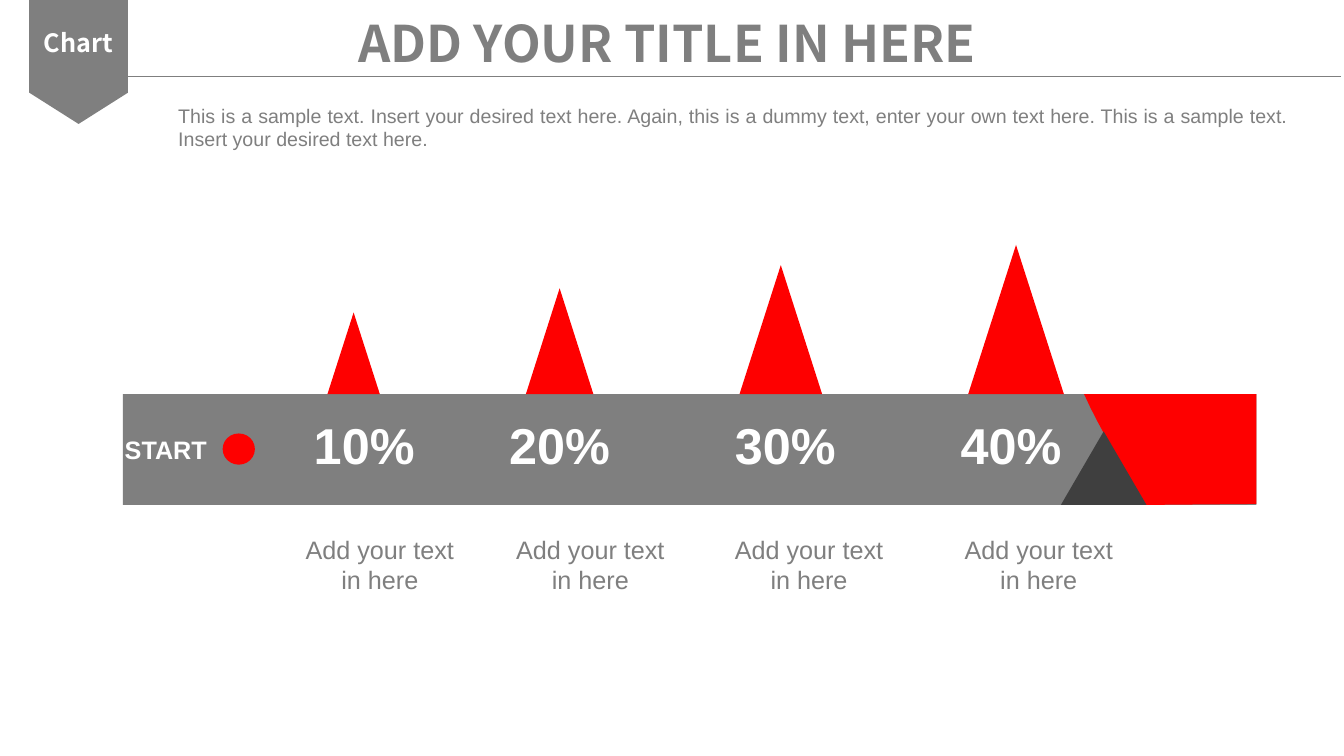
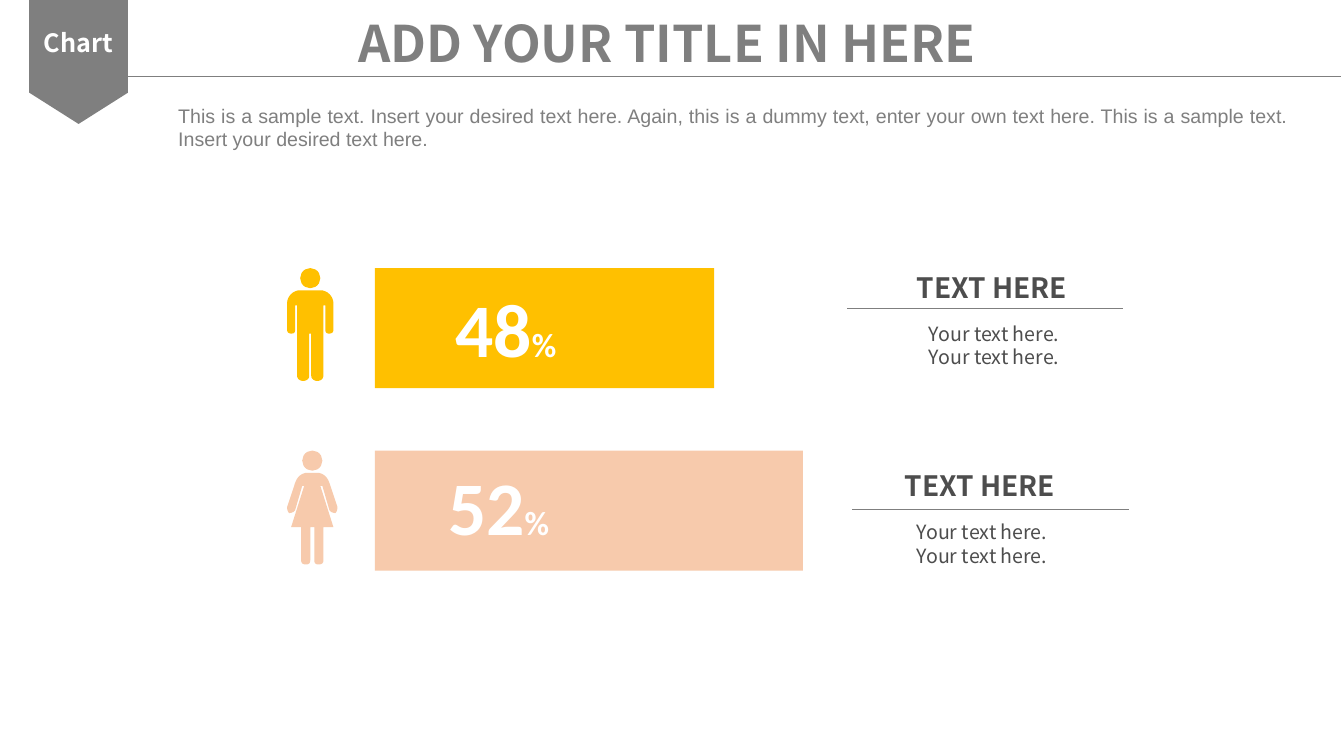
from lxml import etree
from pptx import Presentation
from pptx.dml.color import RGBColor
from pptx.enum.shapes import MSO_CONNECTOR, MSO_SHAPE
from pptx.enum.text import MSO_ANCHOR, PP_ALIGN
from pptx.oxml.ns import qn
from pptx.util import Pt

PX = 9144  # 100 px to the inch
GREY = RGBColor(0x7F, 0x7F, 0x7F)
DARK = RGBColor(0x3F, 0x3F, 0x3F)
INK = RGBColor(0x4D, 0x4D, 0x4D)
RED = RGBColor(0xFE, 0x00, 0x00)
AMBER = RGBColor(0xFF, 0xC0, 0x00)
PEACH = RGBColor(0xF7, 0xCA, 0xAC)
WHITE = RGBColor(0xFF, 0xFF, 0xFF)
NOTO, ARIAL, CALIBRI = "Noto Sans CJK SC", "Arial", "Calibri"
CENTER, JUSTIFY = PP_ALIGN.CENTER, PP_ALIGN.JUSTIFY
MIDDLE = MSO_ANCHOR.MIDDLE

# Shared content
TAG = "Chart"
TITLE = "ADD YOUR TITLE IN HERE"
INTRO = ("This is a sample text. Insert your desired text here. Again, this is "
         "a dummy text, enter your own text here. This is a sample text. "
         "Insert your desired text here.")
PENNANT = [(29, 0), (127, 0), (127, 92), (78, 123), (29, 92)]

# Timeline: value, value left, caption left, peak left, peak width, peak height
BAND_TOP, BAND_H = 391, 110
CAPTION = "Add your text in here"
STEPS = [
    ("10%", 298, 281, 325, 52, 81),
    ("20%", 492, 490, 522, 67, 105),
    ("30%", 716, 707, 734, 82, 128),
    ("40%", 940, 935, 961, 95, 148),
]
FLAG = [(1076, 391), (1247, 391), (1247, 500), (1134, 501),
        (1117, 465, 1092, 427, 1076, 391)]

# Right halves of the figures, from (middle, top of head); six numbers are a curve
MAN = [(0, 22), (10, 22), (17, 22, 23, 28, 23, 35), (23, 61),
       (23, 64, 21, 65, 19, 65), (16, 65, 15, 64, 15, 61), (15, 37), (13, 37),
       (13, 107), (13, 110, 10, 112, 7, 112), (4, 112, 1, 110, 1, 107),
       (1, 65), (0, 65)]
WOMAN = [(0, 22), (5, 22), (7, 22, 14, 23, 17, 32), (25, 56),
         (25, 59, 24, 61, 23, 62), (21, 62, 18, 61, 17, 59), (10, 35), (8, 35),
         (21, 76), (11, 76), (11, 109), (11, 112, 9, 113, 6, 113),
         (4, 113, 2, 112, 2, 109), (2, 76), (0, 76)]
HEADING = "TEXT HERE"
DETAILS = ["Your text here.", "Your text here."]
GROUPS = [
    dict(value="48", color=AMBER, half=MAN, middle=308, top=266, width=337,
         value_at=(442, 275), heading_at=(900, 263), rule=(841, 1115, 306)),
    dict(value="52", color=PEACH, half=WOMAN, middle=310, top=447, width=425,
         value_at=(435, 451), heading_at=(888, 460), rule=(846, 1121, 505)),
]


def paint(sp, color):
    sp.shadow.inherit = False
    sp.fill.solid()
    sp.fill.fore_color.rgb = color
    sp.line.fill.background()


def shape(s, kind, x, y, w, h, color):
    paint(s.shapes.add_shape(kind, x * PX, y * PX, w * PX, h * PX), color)


def flatten(outline, steps=8):
    """Turn points and cubic curves into plain points."""
    points = []
    for part in outline:
        if len(part) == 2:
            points.append(part)
            continue
        nodes = [points[-1], part[:2], part[2:4], part[4:]]
        for i in range(1, steps + 1):
            t = i / steps
            weights = ((1 - t) ** 3, 3 * t * (1 - t) ** 2, 3 * t * t * (1 - t), t ** 3)
            points.append(tuple(sum(k * n[axis] for k, n in zip(weights, nodes))
                                for axis in (0, 1)))
    return points


def freeform(s, points, color):
    (x, y), *rest = [(round(px * PX), round(py * PX)) for px, py in points]
    fb = s.shapes.build_freeform(x, y)
    fb.add_line_segments(rest, close=True)
    paint(fb.convert_to_shape(), color)


def line(s, x1, x2, y):
    c = s.shapes.add_connector(MSO_CONNECTOR.STRAIGHT, x1 * PX, y * PX, x2 * PX, y * PX)
    c.line.color.rgb = GREY
    c.line.width = Pt(0.5)
    etree.SubElement(c._element.spPr, qn("a:effectLst"))


def text(s, lines, x, y, w, h, size, color, font=ARIAL, bold=False,
         align=None, anchor=MSO_ANCHOR.TOP, wrap=True, pad=5):
    tf = s.shapes.add_textbox(x * PX, y * PX, w * PX, h * PX).text_frame
    tf.word_wrap = wrap
    tf.vertical_anchor = anchor
    tf.margin_left = tf.margin_right = 10 * PX
    tf.margin_top = tf.margin_bottom = pad * PX
    tf.text = "\n".join(lines)
    for p in tf.paragraphs:
        p.alignment = align
        for r in p.runs:
            style(r, size, color, font, bold)
    return tf


def style(r, size, color, font, bold):
    r.font.size = Pt(size)
    r.font.color.rgb = color
    r.font.name = font
    r.font.bold = bold


def new_slide(prs):
    """Blank slide with the pennant, title, rule and introduction."""
    s = prs.slides.add_slide(prs.slide_layouts[6])
    freeform(s, PENNANT, GREY)
    text(s, [TAG], 33, 22, 89, 40, 18, WHITE, NOTO, True, CENTER, wrap=False)
    text(s, [TITLE], 182, 7, 960, 70, 36, GREY, NOTO, True, CENTER)
    line(s, 125, 1331, 76)
    text(s, [INTRO], 167, 103, 1122, 106, 14, GREY, align=JUSTIFY, pad=0)
    return s


def timeline_slide(prs):
    s = new_slide(prs)
    shape(s, MSO_SHAPE.RECTANGLE, 122, BAND_TOP, 1125, BAND_H, GREY)
    freeform(s, flatten(FLAG), RED)
    shape(s, MSO_SHAPE.ISOSCELES_TRIANGLE, 1053, 428, 85, 73, DARK)
    shape(s, MSO_SHAPE.OVAL, 221, 430, 32, 31, RED)
    text(s, ["START"], 114, 425, 127, 42, 18, WHITE, bold=True, anchor=MIDDLE)
    for value, value_x, caption_x, peak_x, peak_w, peak_h in STEPS:
        shape(s, MSO_SHAPE.ISOSCELES_TRIANGLE, peak_x, BAND_TOP - peak_h,
              peak_w, peak_h, RED)
        text(s, [value], value_x, 411, 127, 59, 36, WHITE, bold=True,
             align=CENTER, anchor=MIDDLE)
        text(s, [CAPTION], caption_x, BAND_TOP + BAND_H, 192, 118, 18, GREY,
             align=CENTER, anchor=MIDDLE)


def people_slide(prs):
    s = new_slide(prs)
    for g in GROUPS:
        color, middle, top = g["color"], g["middle"], g["top"]
        # Bar and figure
        shape(s, MSO_SHAPE.RECTANGLE, 372, top, g["width"], 119, color)
        shape(s, MSO_SHAPE.OVAL, middle - 10, top, 20, 20, color)
        half = flatten(g["half"])
        mirrored = [(-x, y) for x, y in reversed(half)]
        freeform(s, [(middle + x, top + y) for x, y in half + mirrored], color)
        # Percentage
        tf = text(s, [g["value"]], *g["value_at"], 120, 100, 54, WHITE, CALIBRI,
                  True, wrap=False)
        r = tf.paragraphs[0].add_run()
        r.text = "%"
        style(r, 24, WHITE, CALIBRI, True)
        # Heading, rule and details
        x, y = g["heading_at"]
        text(s, [HEADING], x, y, 180, 44, 20, INK, NOTO, True)
        text(s, DETAILS, x + 12, y + 51, 180, 57, 14, INK, NOTO)
        line(s, *g["rule"])


def main():
    prs = Presentation()
    prs.slide_width, prs.slide_height = 1334 * PX, 750 * PX
    timeline_slide(prs)
    people_slide(prs)
    prs.save("out.pptx")


if __name__ == "__main__":
    main()
